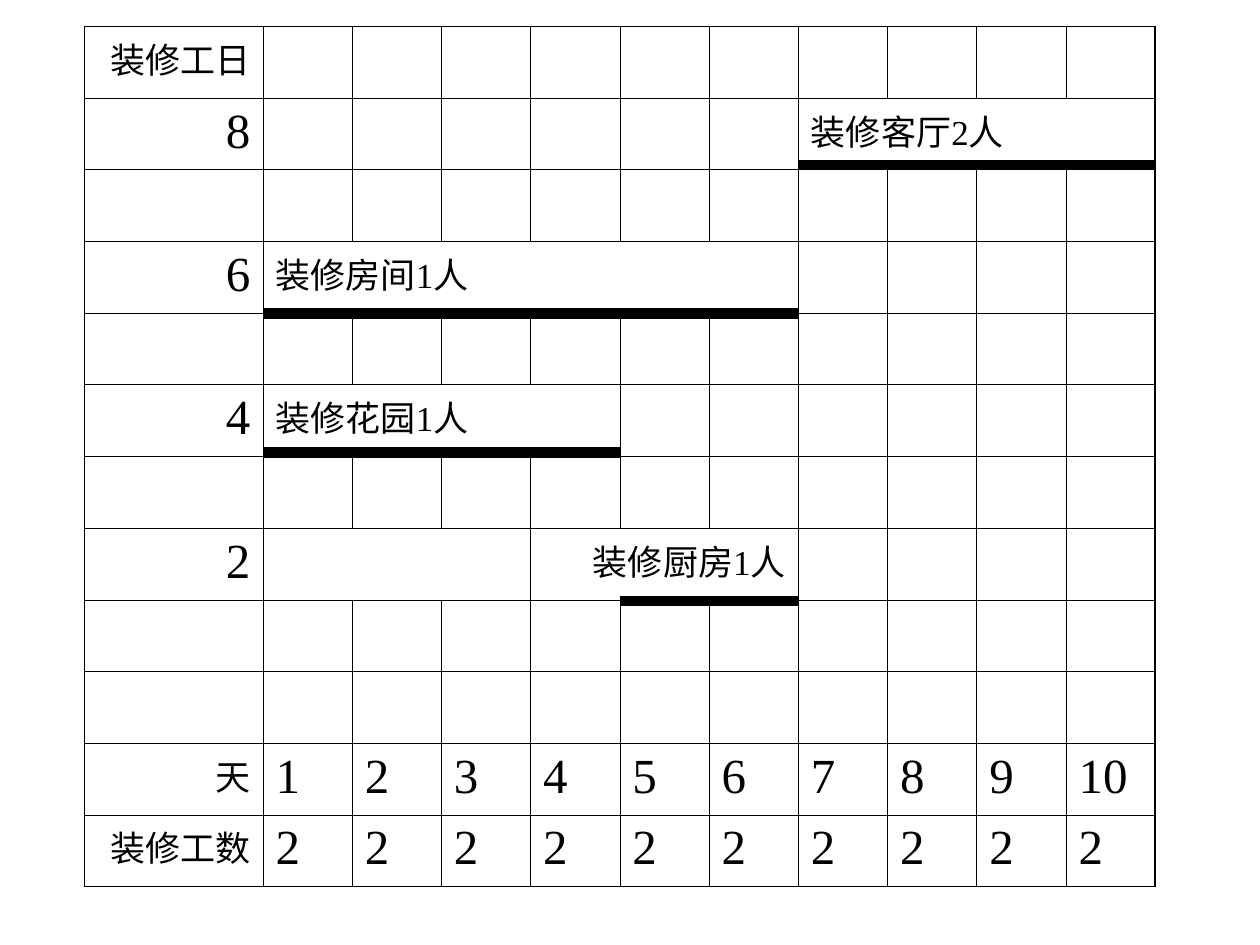
from lxml.etree import SubElement as Sub
from pptx import Presentation
from pptx.dml.color import RGBColor as RGB
from pptx.enum.shapes import MSO_CONNECTOR as Conn
from pptx.enum.text import PP_ALIGN as Align
from pptx.oxml.ns import qn
from pptx.util import Inches, Pt

BLACK = RGB(0, 0, 0)
FONT = "Times New Roman"
ROWS, COLS = 12, 11
LEFT, TOP = 0.67, 0.21
UNIT = 8.5 / 12  # width of one day; the label column takes two
STEP = 6.83 / ROWS
THIN, THICK = 0.45, 1.08

# Row labels: row -> text
LABELS = {0: "装修工日", 1: "8", 3: "6", 5: "4", 7: "2", 10: "天", 11: "装修工数"}
# Merged cells: row, first day, last day, text, alignment
TASKS = [
    (1, 7, 10, "装修客厅2人", Align.LEFT),
    (3, 1, 6, "装修房间1人", Align.LEFT),
    (5, 1, 4, "装修花园1人", Align.LEFT),
    (7, 1, 3, "", Align.LEFT),
    (7, 4, 6, "装修厨房1人", Align.RIGHT),
]
# Bars: first day, last day, height on the slide
BARS = [(5, 6, 4.77), (1, 4, 3.59), (1, 6, 2.49), (7, 10, 1.31)]


class Plan:
    def __init__(self, slide):
        self.slide = slide

    def grid(self):
        frame = self.slide.shapes.add_table(
            ROWS, COLS, Inches(LEFT), Inches(TOP), Inches(8.5), Inches(6.83))
        table = frame.table
        table.first_row = table.horz_banding = False
        for i, col in enumerate(table.columns):
            col.width = Inches(UNIT if i else 2 * UNIT)
        for row in table.rows:
            row.height = Inches(STEP)
        for r in range(ROWS):
            for c in range(COLS):
                self.edge(table.cell(r, c), r, c, c)
        return table

    def edge(self, cell, row, first, last):
        """Draw the four borders, heavier on the outer edge, with no fill."""
        props = cell._tc.get_or_add_tcPr()
        for old in list(props):
            props.remove(old)
        edges = {"lnL": first == 0, "lnR": last == COLS - 1,
                 "lnT": row == 0, "lnB": row == ROWS - 1}
        for tag, outer in edges.items():
            line = Sub(props, qn("a:" + tag), w=str(Pt(THICK if outer else THIN)))
            Sub(Sub(line, qn("a:solidFill")), qn("a:srgbClr"), val=str(BLACK))
        cell.fill.background()

    def label(self, cell, text, align=Align.LEFT):
        para = cell.text_frame.paragraphs[0]
        para.text = text
        para.alignment = align
        for run in para.runs:
            run.font.name = FONT
            run.font.size = Pt(28 if text.isdigit() else 20)
            run.font.color.rgb = BLACK

    def task(self, table, row, first, last, text, align):
        cell = table.cell(row, first)
        cell.merge(table.cell(row, last))
        self.edge(cell, row, first, last)
        self.label(cell, text, align)

    def bar(self, first, last, y):
        x1, x2 = (Inches(LEFT + UNIT * n) for n in (first + 1, last + 2))
        line = self.slide.shapes.add_connector(
            Conn.STRAIGHT, x1, Inches(y), x2, Inches(y))
        line.line.color.rgb = BLACK
        line.line.width = Pt(6)
        Sub(line._element.spPr, qn("a:effectLst"))


def main():
    deck = Presentation()
    deck.slide_width, deck.slide_height = Inches(10), Inches(7.5)
    plan = Plan(deck.slides.add_slide(deck.slide_layouts[6]))

    # Grid with labels, days and worker counts
    table = plan.grid()
    for row, text in LABELS.items():
        plan.label(table.cell(row, 0), text, Align.RIGHT)
    for day in range(1, COLS):
        plan.label(table.cell(10, day), str(day))
        plan.label(table.cell(11, day), "2")

    # Tasks and their bars
    for task in TASKS:
        plan.task(table, *task)
    for bar in BARS:
        plan.bar(*bar)

    deck.save("out.pptx")


if __name__ == "__main__":
    main()
